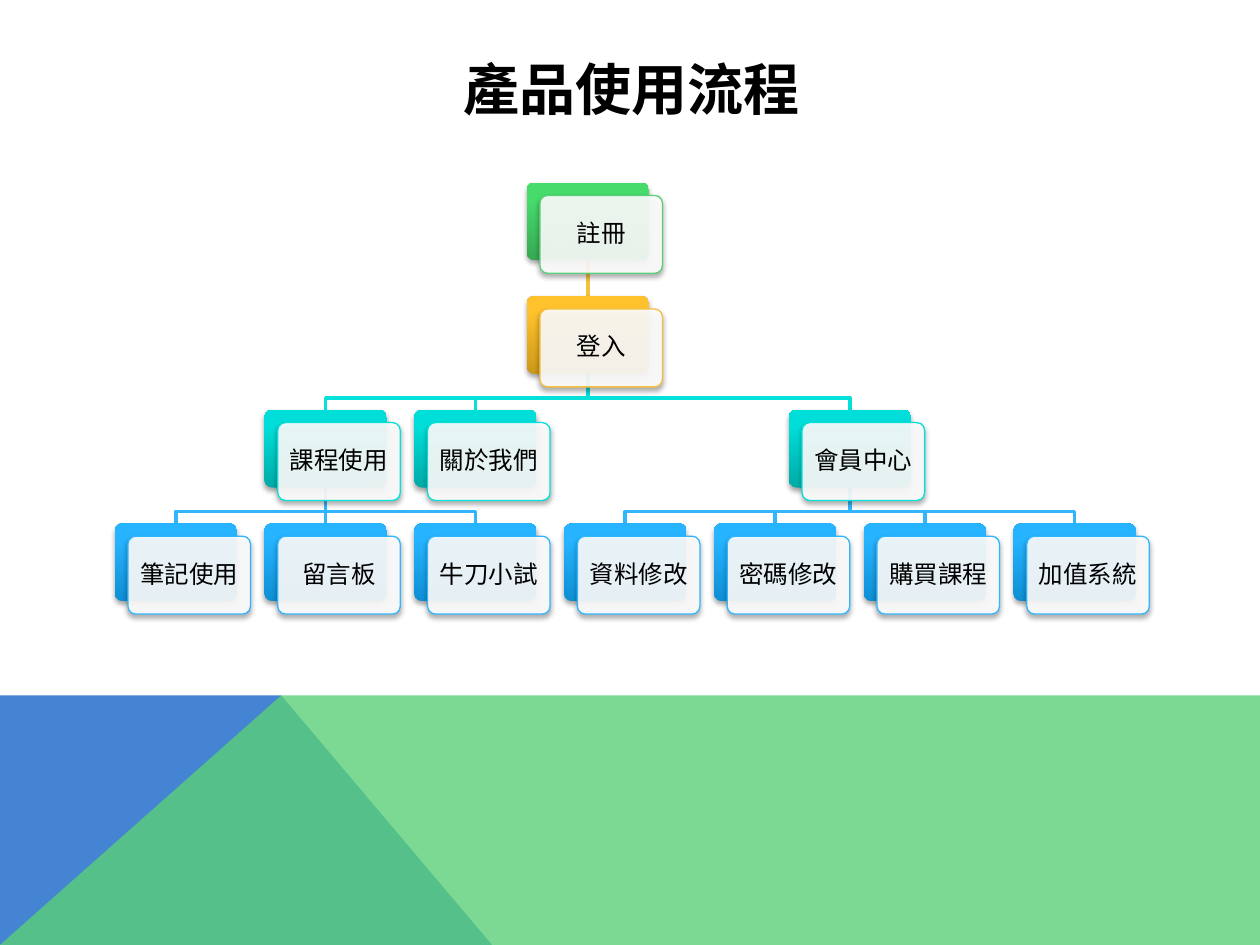
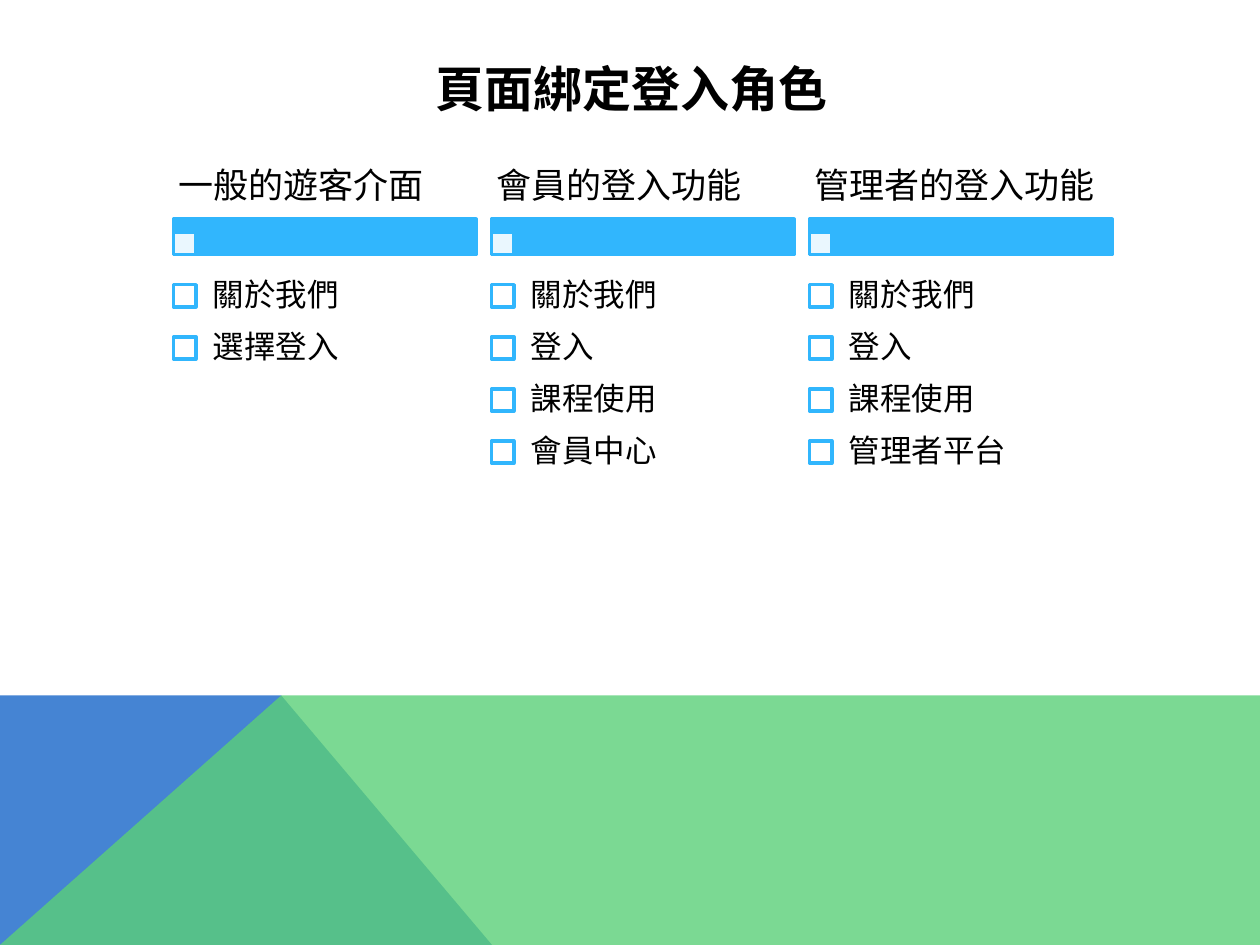
"""Build two slides: the product flow tree and the pages bound to each login role."""
from lxml import etree
from pptx import Presentation
from pptx.dml.color import RGBColor
from pptx.enum.shapes import MSO_CONNECTOR, MSO_SHAPE
from pptx.enum.text import MSO_ANCHOR, PP_ALIGN
from pptx.oxml.ns import qn
from pptx.util import Cm, Pt

RECT, ROUND = MSO_SHAPE.RECTANGLE, MSO_SHAPE.ROUNDED_RECTANGLE
STRAIGHT = MSO_CONNECTOR.STRAIGHT
MIDDLE = MSO_ANCHOR.MIDDLE
LEFT, CENTER = PP_ALIGN.LEFT, PP_ALIGN.CENTER

BLACK = RGBColor(0x00, 0x00, 0x00)
WHITE = RGBColor(0xFF, 0xFF, 0xFF)
GREEN = RGBColor(0x5B, 0xD0, 0x78)
AMBER = RGBColor(0xF5, 0xC0, 0x40)
TEAL = RGBColor(0x05, 0xE0, 0xDB)
SKY = RGBColor(0x31, 0xB6, 0xFD)
BAND_BLUE = RGBColor(0x45, 0x84, 0xD3)
TITLE_FONT, CARD_FONT = "Arial", "Cabin"

FLOW_TITLE = "產品使用流程"
CHILDREN = {
    "註冊": ["登入"],
    "登入": ["課程使用", "關於我們", "會員中心"],
    "課程使用": ["筆記使用", "留言板", "牛刀小試"],
    "會員中心": ["資料修改", "密碼修改", "購買課程", "加值系統"],
}
LEAF_SLOTS = {"筆記使用": 0, "留言板": 1, "牛刀小試": 2, "關於我們": 2,
              "資料修改": 3, "密碼修改": 4, "購買課程": 5, "加值系統": 6}
LEVELS = [
    (GREEN, RGBColor(0x37, 0xA8, 0x53), RGBColor(0x47, 0xDB, 0x6C)),
    (AMBER, RGBColor(0xCB, 0x98, 0x1B), RGBColor(0xFF, 0xC1, 0x2C)),
    (TEAL, RGBColor(0x00, 0xAB, 0xA7), RGBColor(0x00, 0xDE, 0xD9)),
    (SKY, RGBColor(0x0E, 0x8F, 0xD4), RGBColor(0x26, 0xB3, 0xFF)),
]

ROLE_TITLE = "頁面綁定登入角色"
ROLES = [
    ("一般的遊客介面", ["關於我們", "選擇登入"]),
    ("會員的登入功能", ["關於我們", "登入", "課程使用", "會員中心"]),
    ("管理者的登入功能", ["關於我們", "登入", "課程使用", "管理者平台"]),
]

SLIDE_W, SLIDE_H = 25.4, 19.05
BAND_TOP, BAND_PEAK, BAND_FOOT = 14.02, 5.67, 9.92
TREE_LEFT, TREE_TOP, SLOT_W, LEVEL_H = 2.31, 3.68, 3.02, 2.29
CARD_W, CARD_H, CARD_DX, CARD_DY, BEND = 2.47, 1.57, 0.27, 0.26, 0.48
ROLE_LEFT, ROLE_PITCH, ROLE_W = 3.5, 6.41, 6.1
BOX, ITEM_TOP, ITEM_PITCH = 0.45, 5.74, 1.05


def set_alpha(s, percent):
    color = s.fill._xPr.find(qn("a:solidFill"))[0]
    etree.SubElement(color, qn("a:alpha"), val=str(percent * 1000))


def add_box(slide, kind, x, y, w, h, fill=None, line=None, width=2, alpha=100):
    s = slide.shapes.add_shape(kind, Cm(x), Cm(y), Cm(w), Cm(h))
    s.shadow.inherit = False
    if fill is not None:
        s.fill.solid()
        s.fill.fore_color.rgb = fill
        if alpha < 100:
            set_alpha(s, alpha)
    if line is None:
        s.line.fill.background()
    else:
        s.line.color.rgb = line
        s.line.width = Pt(width)
    return s


def write(s, text, size, font, align=LEFT, inset=(0, 0), bold=False, spacing=0.9):
    tf = s.text_frame
    tf.text = text
    tf.word_wrap = True
    tf.vertical_anchor = MIDDLE
    tf.margin_left = tf.margin_right = Cm(inset[0])
    tf.margin_top = tf.margin_bottom = Cm(inset[1])
    p = tf.paragraphs[0]
    p.alignment = align
    p.line_spacing = spacing
    r = p.runs[0]
    r.font.size, r.font.name, r.font.bold = Pt(size), font, bold
    r.font.color.rgb = BLACK


def add_text(slide, x, y, w, h, text, size, **style):
    s = slide.shapes.add_textbox(Cm(x), Cm(y), Cm(w), Cm(h))
    write(s, text, size, TITLE_FONT, **style)


def add_outline(slide, points, close):
    (x, y), *rest = [(Cm(px), Cm(py)) for px, py in points]
    builder = slide.shapes.build_freeform(x, y)
    builder.add_line_segments(rest, close=close)
    s = builder.convert_to_shape()
    s.shadow.inherit = False
    return s


def add_band(slide, points, color):
    s = add_outline(slide, points, True)
    s.fill.solid()
    s.fill.fore_color.rgb = color
    s.line.fill.background()
    return s


def new_slide(prs, title, size):
    slide = prs.slides.add_slide(prs.slide_layouts[6])
    add_band(slide, [(0, SLIDE_H), (0, BAND_TOP), (BAND_PEAK, BAND_TOP),
                     (BAND_FOOT, SLIDE_H)], BAND_BLUE)
    front = add_band(slide, [(0, SLIDE_H), (BAND_PEAK, BAND_TOP),
                             (SLIDE_W, BAND_TOP), (SLIDE_W, SLIDE_H)], GREEN)
    set_alpha(front, 80)
    add_text(slide, 2.29, 1.02, 20.88, 1.52, title, size,
             align=CENTER, bold=True, spacing=1.0)
    return slide


def slot(name):
    if name in LEAF_SLOTS:
        return LEAF_SLOTS[name]
    kids = CHILDREN[name]
    return (slot(kids[0]) + slot(kids[-1])) / 2


def corner(name, level):
    return TREE_LEFT + slot(name) * SLOT_W, TREE_TOP + level * LEVEL_H


def add_link(slide, parent, child, level):
    x1, y1 = corner(parent, level - 1)
    x2, y2 = corner(child, level)
    x1, x2, y1 = x1 + CARD_W / 2, x2 + CARD_W / 2, y1 + CARD_H
    if abs(x1 - x2) < 0.01:
        s = slide.shapes.add_connector(STRAIGHT, Cm(x1), Cm(y1), Cm(x2), Cm(y2))
        etree.SubElement(s._element.spPr, qn("a:effectLst"))
    else:
        bend = y1 + BEND
        s = add_outline(slide, [(x1, y1), (x1, bend), (x2, bend), (x2, y2)], False)
        s.fill.background()
    s.line.color.rgb = LEVELS[level][0]
    s.line.width = Pt(2)


def drop_shadow(s):
    effects = s._element.spPr.find(qn("a:effectLst"))
    shadow = etree.SubElement(effects, qn("a:outerShdw"), blurRad=str(Pt(3.1)),
                              dist=str(Pt(1.8)), dir="5400000", rotWithShape="0")
    color = etree.SubElement(shadow, qn("a:srgbClr"), val=str(BLACK))
    etree.SubElement(color, qn("a:alpha"), val="35000")


def add_card(slide, name, level):
    accent, dark, bright = LEVELS[level]
    x, y = corner(name, level)
    back = add_box(slide, ROUND, x, y, CARD_W, CARD_H)
    back.fill.gradient()
    back.fill.gradient_angle = 90
    for stop, color, position in zip(back.fill.gradient_stops, (dark, bright), (0, 0.8)):
        stop.color.rgb = color
        stop.position = position
    front = add_box(slide, ROUND, x + CARD_DX, y + CARD_DY, CARD_W, CARD_H,
                    WHITE, accent, 0.75, 90)
    for s in (back, front):
        s.adjustments[0] = 0.1
        drop_shadow(s)
    write(front, name, 14, CARD_FONT, CENTER, (0.15, 0.15))


def walk(name, level=0):
    yield name, level
    for child in CHILDREN.get(name, []):
        yield from walk(child, level + 1)


def build_flow(prs):
    slide = new_slide(prs, FLOW_TITLE, 32)
    nodes = list(walk("註冊"))
    for name, level in reversed(nodes):
        for child in reversed(CHILDREN.get(name, [])):
            add_link(slide, name, child, level + 1)
    for name, level in nodes:
        add_card(slide, name, level)


def build_roles(prs):
    slide = new_slide(prs, ROLE_TITLE, 28)
    for col, (role, pages) in enumerate(ROLES):
        x = ROLE_LEFT + col * ROLE_PITCH
        add_box(slide, RECT, x, 4.42, ROLE_W, 0.71, SKY, SKY)
        add_box(slide, RECT, x, 4.68, BOX, BOX, WHITE, SKY, alpha=90)
        add_text(slide, x, 3.12, ROLE_W, 1.3, role, 20, inset=(0.1, 0.08))
        for row, page in enumerate(pages):
            y = ITEM_TOP + row * ITEM_PITCH
            add_box(slide, RECT, x, y, BOX, BOX, WHITE, SKY)
            add_text(slide, x + 0.43, y - 0.3, 5.68, ITEM_PITCH, page, 18,
                     inset=(0.36, 0.36))


def main():
    prs = Presentation()
    prs.slide_width, prs.slide_height = Cm(SLIDE_W), Cm(SLIDE_H)
    build_flow(prs)
    build_roles(prs)
    prs.save("out.pptx")


if __name__ == "__main__":
    main()
